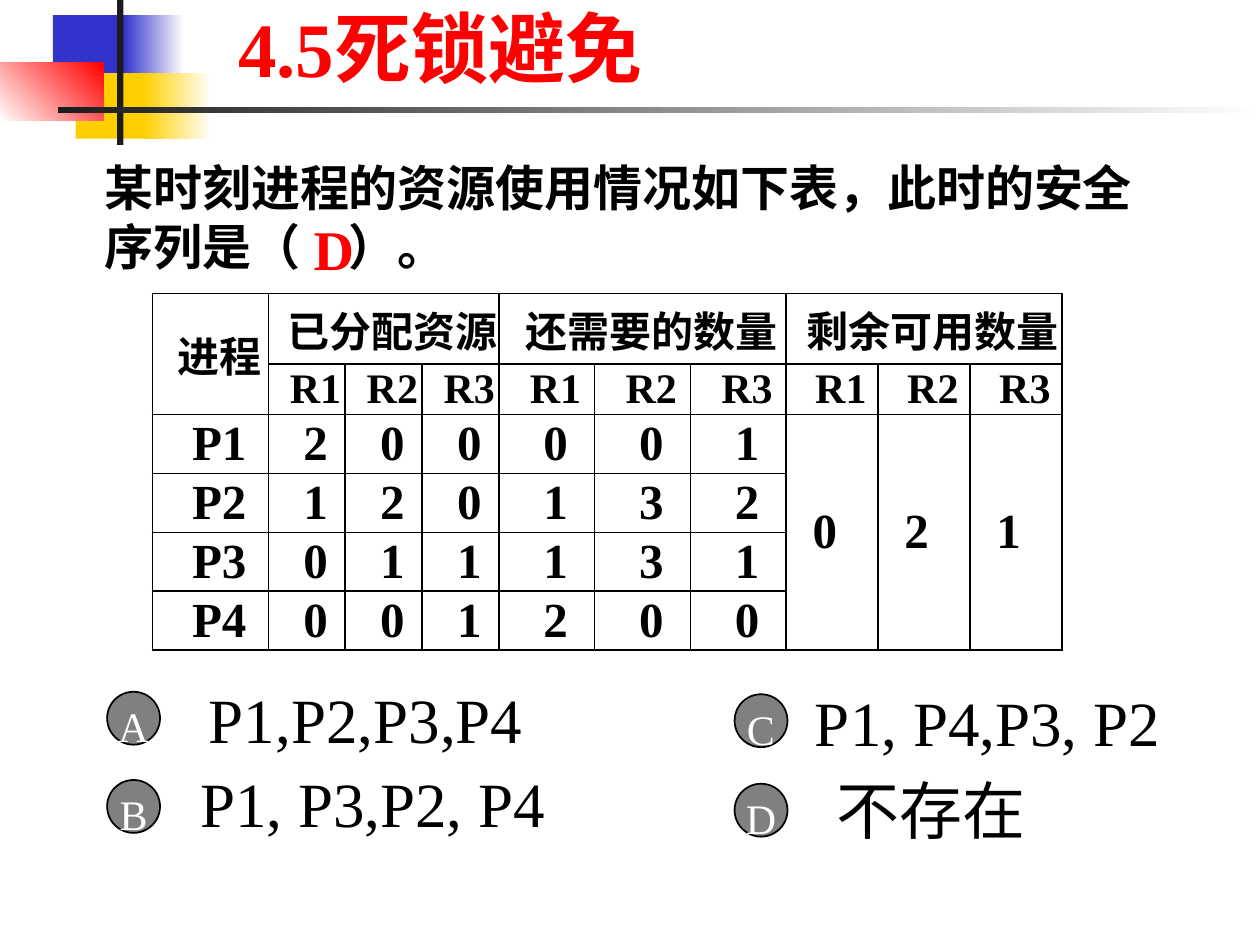
from typing import NamedTuple, Optional

from lxml import etree
from pptx import Presentation
from pptx.dml.color import RGBColor
from pptx.enum.shapes import MSO_SHAPE
from pptx.enum.text import MSO_ANCHOR, MSO_AUTO_SIZE, PP_ALIGN
from pptx.oxml.ns import qn
from pptx.util import Inches, Pt

RECT, OVAL = MSO_SHAPE.RECTANGLE, MSO_SHAPE.OVAL
TOP, MIDDLE = MSO_ANCHOR.TOP, MSO_ANCHOR.MIDDLE
LEFT, CENTER = PP_ALIGN.LEFT, PP_ALIGN.CENTER
NO_AUTOFIT = MSO_AUTO_SIZE.NONE

FONT = "Times New Roman"
COLORS = {
    "blue": "3333CC", "yellow": "FFCF01", "red": "FF0000", "dark": "1C1C1C",
    "white": "FFFFFF", "black": "000000", "gray": "808080",
}


class Box(NamedTuple):
    left: float
    top: float
    width: float
    height: float


class Bar(NamedTuple):
    box: Box
    color: str
    fade_to: Optional[str] = None
    angle: float = 0


class Label(NamedTuple):
    text: str
    box: Box
    size: int
    color: str = "black"
    bold: bool = False
    anchor: MSO_ANCHOR = MIDDLE


class Option(NamedTuple):
    letter: str
    left: float
    top: float
    answer: Label


BARS = [
    Bar(Box(0.42, 0.12, 0.64, 0.52), "blue"),
    Bar(Box(0.98, 0.12, 0.48, 0.52), "blue", "white"),
    Bar(Box(0.6, 0.58, 0.62, 0.52), "yellow"),
    Bar(Box(1.14, 0.58, 0.54, 0.52), "yellow", "white"),
    Bar(Box(0, 0.5, 0.82, 0.46), "white", "red", 45),
    Bar(Box(0.93, 0, 0.05, 1.15), "dark"),
    Bar(Box(0.46, 0.85, 9.54, 0.05), "dark", "white"),
]
QUESTION = Label("某时刻进程的资源使用情况如下表，此时的安全序列是（　）。",
                 Box(0.73, 1.26, 8.55, 0.92), 28, bold=True)
ANSWER = Label("D", Box(2.39, 1.65, 1, 0.64), 32, "red", True, TOP)
OPTIONS = [
    Option("A", 0.85, 5.49, Label("P1,P2,P3,P4", Box(1.56, 5.44, 3.21, 0.53), 36)),
    Option("B", 0.85, 6.19, Label("P1, P3,P2, P4", Box(1.49, 6.1, 3.45, 0.53), 36)),
    Option("C", 5.83, 5.51, Label("P1, P4,P3, P2", Box(6.37, 5.46, 3.33, 0.53), 36)),
    Option("D", 5.83, 6.22, Label("不存在", Box(6.54, 6.16, 2.43, 0.53), 36)),
]

# Resource table: three groups of R1-R3 after the process column
GROUPS = ["已分配资源", "还需要的数量", "剩余可用数量"]
GROUP_WIDTHS = [0.61, 0.76, 0.73]
ROW_HEIGHTS = [0.56, 0.36, 0.42, 0.42, 0.42, 0.42]
PROCESSES = [
    ["P1", "2", "0", "0", "0", "0", "1"],
    ["P2", "1", "2", "0", "1", "3", "2"],
    ["P3", "0", "1", "1", "1", "3", "1"],
    ["P4", "0", "0", "1", "2", "0", "0"],
]
AVAILABLE = ["0", "2", "1"]


def rgb(name: str) -> RGBColor:
    return RGBColor.from_string(COLORS[name])


def inches(box: Box) -> list:
    return [Inches(v) for v in box]


def style(p, size: int, color: str = "black", bold: bool = False, align=LEFT) -> None:
    p.alignment = align
    p.font.name = FONT
    p.font.size = Pt(size)
    p.font.bold = bold
    p.font.color.rgb = rgb(color)


def add_bar(slide, bar: Bar) -> None:
    sp = slide.shapes.add_shape(RECT, *inches(bar.box))
    sp.shadow.inherit = False
    sp.line.fill.background()
    if bar.fade_to is None:
        sp.fill.solid()
        sp.fill.fore_color.rgb = rgb(bar.color)
        return
    sp.fill.gradient()
    sp.fill.gradient_angle = bar.angle
    for stop, name in zip(sp.fill.gradient_stops, (bar.color, bar.fade_to)):
        stop.color.rgb = rgb(name)


def add_label(slide, label: Label) -> None:
    tf = slide.shapes.add_textbox(*inches(label.box)).text_frame
    tf.word_wrap = True
    tf.vertical_anchor = label.anchor
    tf.text = label.text
    style(tf.paragraphs[0], label.size, label.color, label.bold)


def add_option(slide, option: Option) -> None:
    add_label(slide, option.answer)
    sp = slide.shapes.add_shape(OVAL, *inches(Box(option.left, option.top, 0.42, 0.42)))
    sp.shadow.inherit = False
    sp.fill.solid()
    sp.fill.fore_color.rgb = rgb("gray")
    sp.line.color.rgb = rgb("black")
    sp.line.width = Pt(1)
    tf = sp.text_frame
    tf.word_wrap = False
    tf.vertical_anchor = MIDDLE
    tf.text = option.letter
    p = tf.paragraphs[0]
    style(p, 24, "white", align=CENTER)
    p.line_spacing = 1.3


def format_cell(cell) -> None:
    tc_pr = cell._tc.get_or_add_tcPr()
    for side in ("a:lnL", "a:lnR", "a:lnT", "a:lnB"):
        ln = etree.SubElement(tc_pr, qn(side), w=str(Pt(1)))
        fill = etree.SubElement(ln, qn("a:solidFill"))
        etree.SubElement(fill, qn("a:srgbClr"), val=COLORS["black"])
    cell.fill.background()
    cell.vertical_anchor = MIDDLE


def write_cell(cell, text: str, size: int, margin: float = 0, align=CENTER) -> None:
    cell.margin_left = cell.margin_right = Inches(margin)
    cell.margin_top = cell.margin_bottom = 0
    cell.text = text
    p = cell.text_frame.paragraphs[0]
    style(p, size, bold=True, align=align)
    p_pr = p._p.get_or_add_pPr()
    p_pr.set("marL", "0")
    p_pr.set("indent", str(Inches(0.14)))


def add_resource_table(slide) -> None:
    widths = [0.92] + [w for w in GROUP_WIDTHS for _ in range(3)]
    frame = slide.shapes.add_table(len(ROW_HEIGHTS), len(widths),
                                   *inches(Box(1.21, 2.33, 7.23, 2.83)))
    table = frame.table
    table.first_row = table.horz_banding = False
    for column, width in zip(table.columns, widths):
        column.width = Inches(width)
    for row, height in zip(table.rows, ROW_HEIGHTS):
        row.height = Inches(height)
    for cell in table.iter_cells():
        format_cell(cell)

    # Headings
    table.cell(0, 0).merge(table.cell(1, 0))
    write_cell(table.cell(0, 0), "进程", 24)
    for i, heading in enumerate(GROUPS):
        first = 1 + 3 * i
        table.cell(0, first).merge(table.cell(0, first + 2))
        write_cell(table.cell(0, first), heading, 24)
        for k in range(3):
            write_cell(table.cell(1, first + k), f"R{k + 1}", 24)

    # Values
    for r, values in enumerate(PROCESSES, start=2):
        for c, value in enumerate(values):
            write_cell(table.cell(r, c), value, 28, 0.07)
    for c, value in enumerate(AVAILABLE, start=7):
        table.cell(2, c).merge(table.cell(5, c))
        write_cell(table.cell(2, c), value, 28, 0.07, LEFT)


def add_title(slide, text: str, box: Box) -> None:
    title = slide.shapes.title
    title.left, title.top, title.width, title.height = inches(box)
    tf = title.text_frame
    tf.text = text
    tf.word_wrap = True
    tf.auto_size = NO_AUTOFIT
    tf.vertical_anchor = TOP
    p = tf.paragraphs[0]
    style(p, 44, "red", True)
    p.line_spacing = 0.9


def main() -> None:
    prs = Presentation()
    prs.slide_width, prs.slide_height = Inches(10), Inches(7.5)
    slide = prs.slides.add_slide(prs.slide_layouts[5])
    for bar in BARS:
        add_bar(slide, bar)
    add_title(slide, "4.5死锁避免", Box(1.79, 0.04, 8.62, 0.95))
    add_label(slide, QUESTION)
    add_label(slide, ANSWER)
    add_resource_table(slide)
    for option in OPTIONS:
        add_option(slide, option)
    prs.save("out.pptx")


if __name__ == "__main__":
    main()
